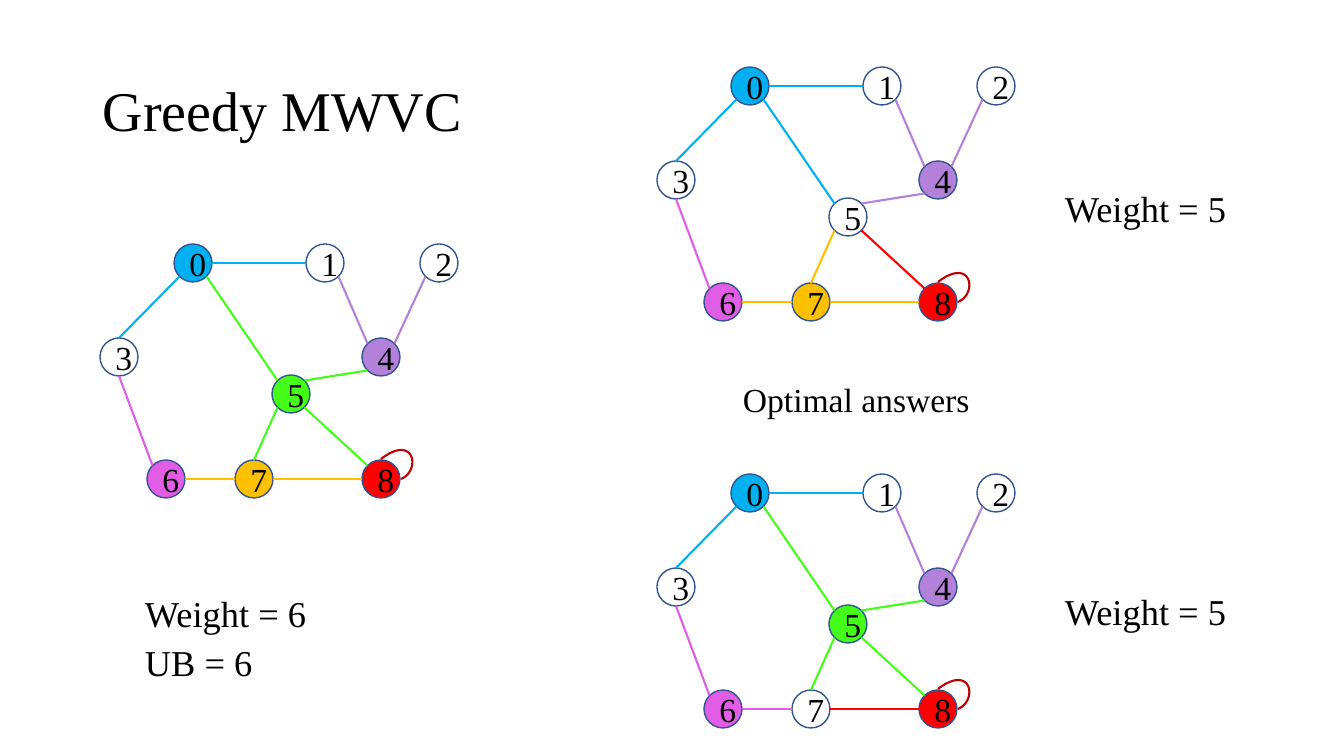
"""Build the slide comparing a greedy vertex cover with two optimal ones."""
from lxml import etree
from pptx import Presentation, util as u
from pptx.dml.color import RGBColor
from pptx.enum import shapes, text
from pptx.oxml.ns import qn

PX = 914400 / 100.8
FONT = "Times New Roman"
BLACK = RGBColor(0, 0, 0)
WHITE = RGBColor(255, 255, 255)
NODE_LINE = RGBColor(0x32, 0x54, 0x91)
LOOP_LINE = RGBColor(0xC0, 0, 0)
COVER = {
    0: RGBColor(0x00, 0xB0, 0xF0),
    4: RGBColor(0xB3, 0x81, 0xD9),
    5: RGBColor(0x44, 0xFD, 0x19),
    6: RGBColor(0xE2, 0x5D, 0xE5),
    7: RGBColor(0xFF, 0xC0, 0x00),
    8: RGBColor(0xFF, 0x00, 0x00),
}

RADIUS = 19
DIAG = 0.71
SIDES = {
    "N": (0, -1), "S": (0, 1), "W": (-1, 0), "E": (1, 0),
    "NW": (-DIAG, -DIAG), "NE": (DIAG, -DIAG),
    "SW": (-DIAG, DIAG), "SE": (DIAG, DIAG),
}
NODES = [(0, 0), (132, 0), (246, 0), (-74, 94), (188, 94),
         (98, 131), (-27, 216), (61, 216), (188, 216)]
EDGES = [
    (0, "SE", 5, "NW"), (0, "E", 1, "W"), (0, "SW", 3, "N"), (7, "W", 6, "E"),
    (5, "SW", 7, "N"), (1, "SE", 4, "NW"), (2, "SW", 4, "NE"), (5, "NE", 4, "SW"),
    (5, "SE", 8, "NW"), (7, "E", 8, "W"), (6, "NW", 3, "S"),
]
LOOP_NODE = 8
LOOP_CURVE = [(0, -20), (34, -46), (40, -8), (20, 0)]
LOOP_STEPS = 24

GRAPHS = [
    {"origin": (193, 263), "edge_owners": [5, 0, 0, 7, 5, 4, 4, 5, 5, 7, 6]},
    {"origin": (750, 86), "edge_owners": [0, 0, 0, 7, 7, 4, 4, 4, 8, 7, 6]},
    {"origin": (750, 493), "edge_owners": [5, 0, 0, 6, 5, 4, 4, 5, 5, 8, 6]},
]
LABELS = [
    ((93, 40, 1159, 146), ["Greedy MWVC"],
     {"size": 40, "spacing": 0.9, "anchor": text.MSO_ANCHOR.MIDDLE}),
    ((135, 595, 286, 101), ["Weight = 6", "UB = 6"],
     {"size": 26, "spacing": 0.8, "gap": 10}),
    ((1055, 186, 264, 53), ["Weight = 5"], {"size": 26, "spacing": 0.9}),
    ((1055, 589, 264, 58), ["Weight = 5"], {"size": 26, "spacing": 0.9}),
    ((733, 374, 249, 50), ["Optimal answers"], {"size": 24, "wrap": False}),
]


def emu(*lengths):
    return [round(length * PX) for length in lengths]


def write(shape, lines, size=24, spacing=1.0, gap=0, wrap=True,
          align=text.PP_ALIGN.LEFT, anchor=text.MSO_ANCHOR.TOP):
    frame = shape.text_frame
    frame.word_wrap = wrap
    frame.vertical_anchor = anchor
    for index, line in enumerate(lines):
        paragraph = frame.add_paragraph() if index else frame.paragraphs[0]
        paragraph.alignment = align
        paragraph.line_spacing = spacing
        if index:
            paragraph.space_before = u.Pt(gap)
        run = paragraph.add_run()
        run.text = line
        run.font.name = FONT
        run.font.size = u.Pt(size)
        run.font.color.rgb = BLACK


def draw_node(parts, number, center, fill):
    x, y = center
    node = parts.add_shape(shapes.MSO_SHAPE.OVAL,
                           *emu(x - RADIUS, y - RADIUS, 2 * RADIUS, 2 * RADIUS))
    node.shadow.inherit = False
    node.fill.solid()
    node.fill.fore_color.rgb = fill
    node.line.color.rgb = NODE_LINE
    node.line.width = u.Pt(1)
    write(node, [str(number)], align=text.PP_ALIGN.CENTER,
          anchor=text.MSO_ANCHOR.MIDDLE)


def draw_edge(parts, start, end, color):
    edge = parts.add_connector(shapes.MSO_CONNECTOR.STRAIGHT, *emu(*start, *end))
    edge.line.color.rgb = color
    edge.line.width = u.Pt(1.5)
    etree.SubElement(edge._element.spPr, qn("a:effectLst"))


def draw_loop(parts, center):
    points = []
    for step in range(LOOP_STEPS + 1):
        t = step / LOOP_STEPS
        weights = ((1 - t) ** 3, 3 * t * (1 - t) ** 2, 3 * t * t * (1 - t), t ** 3)
        points.append(emu(*(center[axis] + sum(w * p[axis] for w, p in zip(weights, LOOP_CURVE))
                            for axis in (0, 1))))
    outline = parts.build_freeform(*points[0])
    outline.add_line_segments(points[1:], close=False)
    loop = outline.convert_to_shape()
    loop.shadow.inherit = False
    loop.fill.background()
    loop.line.color.rgb = LOOP_LINE
    loop.line.width = u.Pt(1.5)


def draw_graph(slide, origin, edge_owners):
    parts = slide.shapes.add_group_shape().shapes
    centers = [(origin[0] + dx, origin[1] + dy) for dx, dy in NODES]
    chosen = {*edge_owners, LOOP_NODE}

    def rim(number, side):
        return [c + RADIUS * d for c, d in zip(centers[number], SIDES[side])]

    for number, center in enumerate(centers):
        draw_node(parts, number, center, COVER[number] if number in chosen else WHITE)
    for (start, start_side, end, end_side), owner in zip(EDGES, edge_owners):
        draw_edge(parts, rim(start, start_side), rim(end, end_side), COVER[owner])
    draw_loop(parts, centers[LOOP_NODE])


def main():
    deck = Presentation()
    deck.slide_width, deck.slide_height = emu(1344, 756)
    slide = deck.slides.add_slide(deck.slide_layouts[6])
    for graph in GRAPHS:
        draw_graph(slide, **graph)
    for box, lines, style in LABELS:
        write(slide.shapes.add_textbox(*emu(*box)), lines, **style)
    deck.save("out.pptx")


if __name__ == "__main__":
    main()
